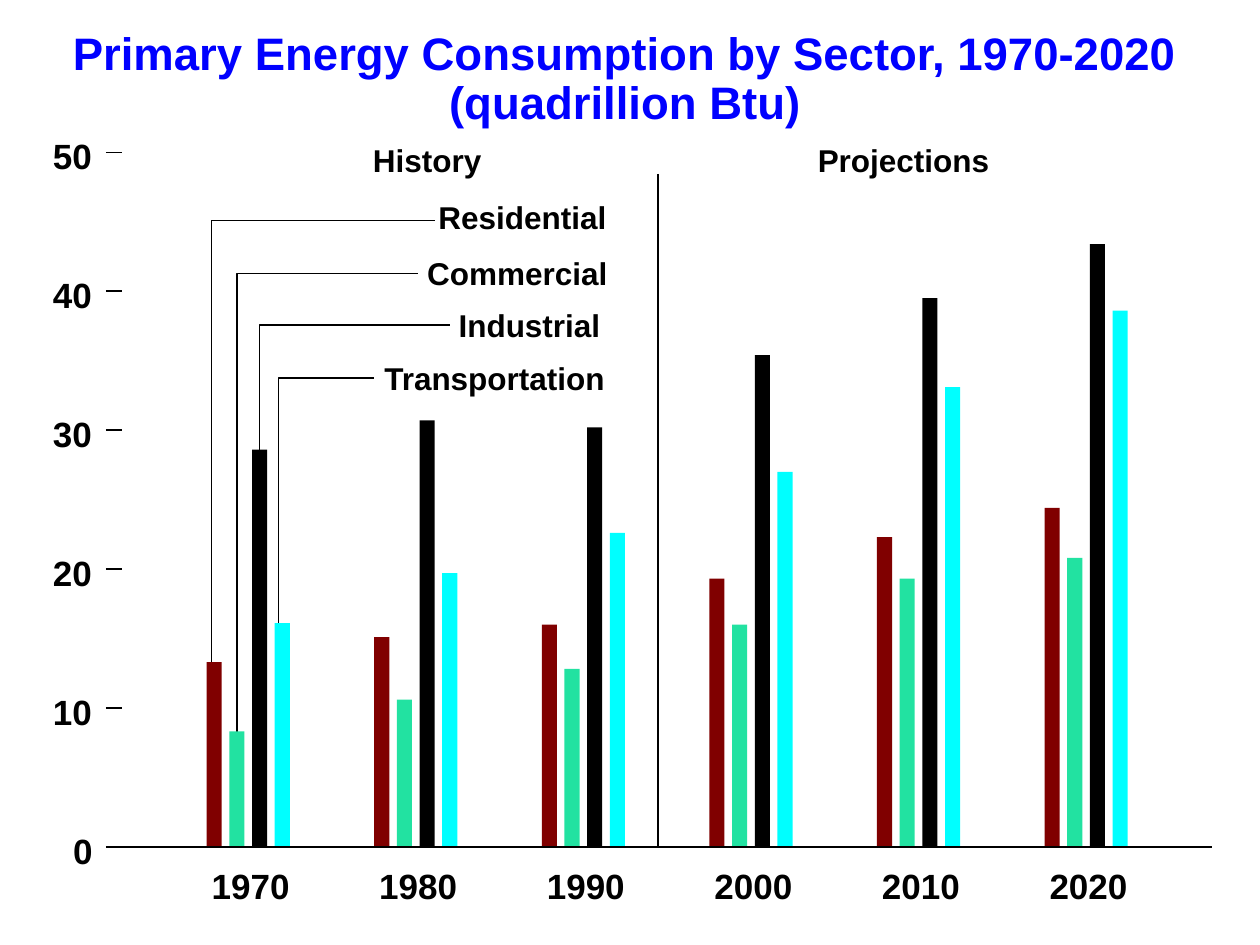
from pptx import Presentation
from pptx.dml.color import RGBColor
from pptx.enum.shapes import MSO_CONNECTOR, MSO_SHAPE
from pptx.enum.text import MSO_AUTO_SIZE, PP_ALIGN
from pptx.oxml.ns import qn
from pptx.util import Inches, Pt
from lxml import etree

STRAIGHT = MSO_CONNECTOR.STRAIGHT
RECTANGLE = MSO_SHAPE.RECTANGLE
FIT_SHAPE = MSO_AUTO_SIZE.SHAPE_TO_FIT_TEXT
LEFT, CENTER = PP_ALIGN.LEFT, PP_ALIGN.CENTER

BLACK = RGBColor(0x00, 0x00, 0x00)
BLUE = RGBColor(0x00, 0x00, 0xFF)
CYAN = RGBColor(0x00, 0xFF, 0xFF)
GREEN = RGBColor(0x22, 0xE2, 0xA1)
MAROON = RGBColor(0x80, 0x00, 0x00)

# Plot geometry, in inches
BASELINE = 6.72
UNIT = 5.51 / 50
AXIS_LEFT, AXIS_RIGHT = 0.97, 9.62
FIRST_BAR, BAR_STEP, BAR_WIDTH = 1.64, 0.18, 0.12
YEAR_STEP = 1.33
DIGIT_WIDTH = 0.16

YEARS = ["1970", "1980", "1990", "2000", "2010", "2020"]
SERIES = [
    ("Residential", MAROON, [13.3, 15.1, 16.0, 19.3, 22.3, 24.4]),
    ("Commercial", GREEN, [8.3, 10.6, 12.8, 16.0, 19.3, 20.8]),
    ("Industrial", BLACK, [28.6, 30.7, 30.2, 35.4, 39.5, 43.4]),
    ("Transportation", CYAN, [16.1, 19.7, 22.6, 27.0, 33.1, 38.6]),
]
# Each leader runs up from foot, turns at elbow (x, y) and ends at tip
LEADERS = [
    {"foot": 5.6, "elbow": (1.68, 1.75), "tip": 3.45},
    {"foot": 5.9, "elbow": (1.88, 2.17), "tip": 3.32},
    {"foot": 3.63, "elbow": (2.06, 2.58), "tip": 3.57},
    {"foot": 5.04, "elbow": (2.21, 3.0), "tip": 2.97},
]
LABELS = [
    ("Residential", 3.48, 1.57, 1.36),
    ("Commercial", 3.39, 2.02, 1.46),
    ("Industrial", 3.64, 2.43, 1.16),
    ("Transportation", 3.05, 2.85, 1.79),
    ("History", 2.96, 1.12, 0.89),
    ("Projections", 6.49, 1.12, 1.39),
]

deck = Presentation()
deck.slide_width, deck.slide_height = Inches(10), Inches(7.5)
page = deck.slides.add_slide(deck.slide_layouts[6])


def add_line(x1, y1, x2, y2):
    line = page.shapes.add_connector(
        STRAIGHT, Inches(x1), Inches(y1), Inches(x2), Inches(y2))
    line.line.color.rgb = BLACK
    line.line.width = Pt(1)
    etree.SubElement(line._element.spPr, qn("a:effectLst"))


def add_text(lines, left, top, width, height, size,
             color=BLACK, align=LEFT, spacing=1.0):
    box = page.shapes.add_textbox(
        Inches(left), Inches(top), Inches(width), Inches(height))
    frame = box.text_frame
    frame_format = {"margin_left": 0, "margin_right": 0, "margin_top": 0,
                    "margin_bottom": 0, "word_wrap": False,
                    "auto_size": FIT_SHAPE}
    for name, value in frame_format.items():
        setattr(frame, name, value)
    font_format = {"name": "Arial", "size": Pt(size), "bold": True}
    for index, text in enumerate(lines):
        para = frame.add_paragraph() if index else frame.paragraphs[0]
        para.alignment = align
        para.line_spacing = spacing
        span = para.add_run()
        span.text = text
        for name, value in font_format.items():
            setattr(span.font, name, value)
        span.font.color.rgb = color


# Leaders lie behind the bars
for leader in LEADERS:
    x, y = leader["elbow"]
    outline = page.shapes.build_freeform(Inches(x), Inches(leader["foot"]))
    outline.add_line_segments(
        [(Inches(x), Inches(y)), (Inches(leader["tip"]), Inches(y))],
        close=False)
    shape = outline.convert_to_shape()
    shape.shadow.inherit = False
    shape.fill.background()
    shape.line.color.rgb = BLACK
    shape.line.width = Pt(1)

# Bars
for position, (series, color, values) in enumerate(SERIES):
    for group, value in enumerate(values):
        left = FIRST_BAR + position * BAR_STEP + group * YEAR_STEP
        height = value * UNIT
        bar = page.shapes.add_shape(
            RECTANGLE, Inches(left), Inches(BASELINE - height),
            Inches(BAR_WIDTH), Inches(height))
        bar.name = f"{series} {YEARS[group]}"
        bar.shadow.inherit = False
        bar.fill.solid()
        bar.fill.fore_color.rgb = color
        bar.line.fill.background()

# Axes
for tick in range(0, 60, 10):
    y = BASELINE - tick * UNIT
    add_line(0.84, y, AXIS_LEFT, y)
    width = DIGIT_WIDTH * len(str(tick))
    add_text([str(tick)], 0.74 - width, y - 0.14, width, 0.33, 20)
add_line(AXIS_LEFT, BASELINE, AXIS_RIGHT, BASELINE)
for group, year in enumerate(YEARS):
    add_text([year], 1.68 + group * YEAR_STEP, 6.86, 0.64, 0.33, 20)

# Series and period labels, divider and title
for text, left, top, width in LABELS:
    add_text([text], left, top, width, 0.3, 18)
add_line(5.22, 1.38, 5.22, BASELINE)
add_text(["Primary Energy Consumption by Sector, 1970-2020",
          "(quadrillion Btu)"],
         0.57, 0.25, 8.78, 0.78, 26, BLUE, CENTER, 0.9)

deck.save("out.pptx")
